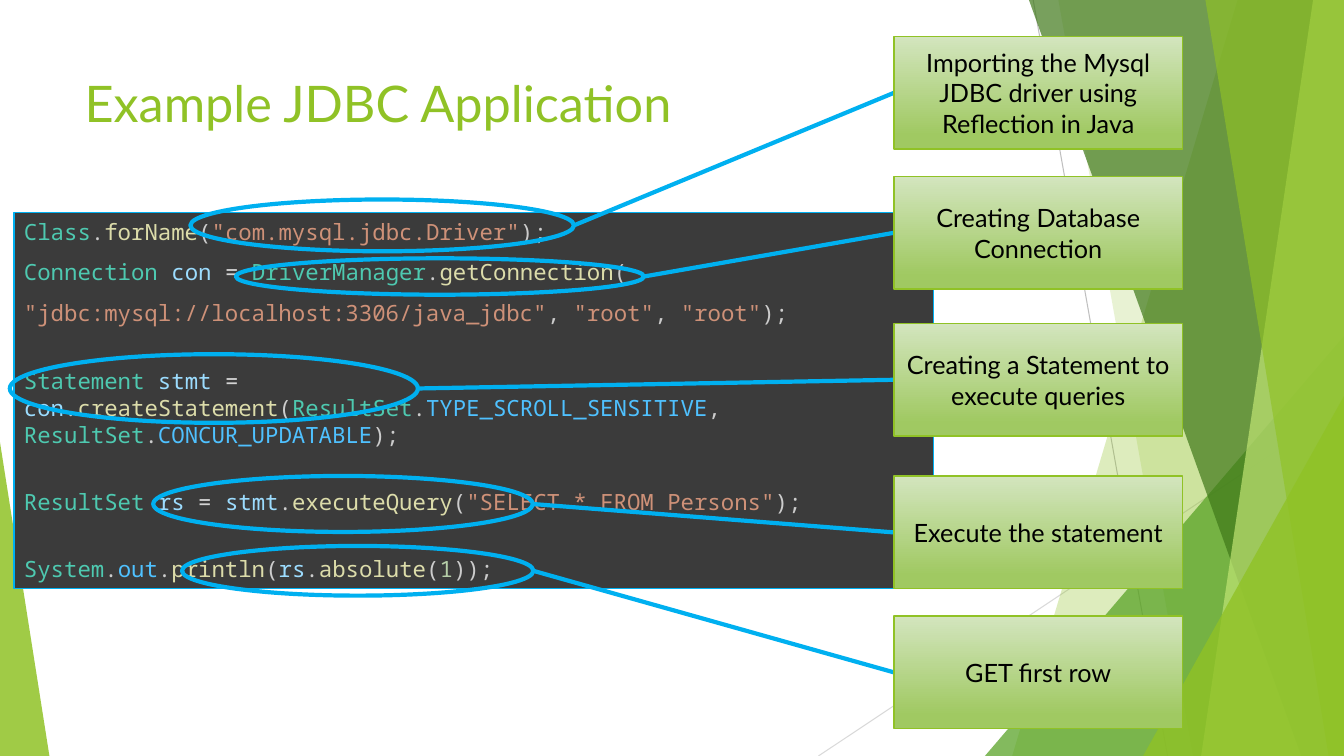
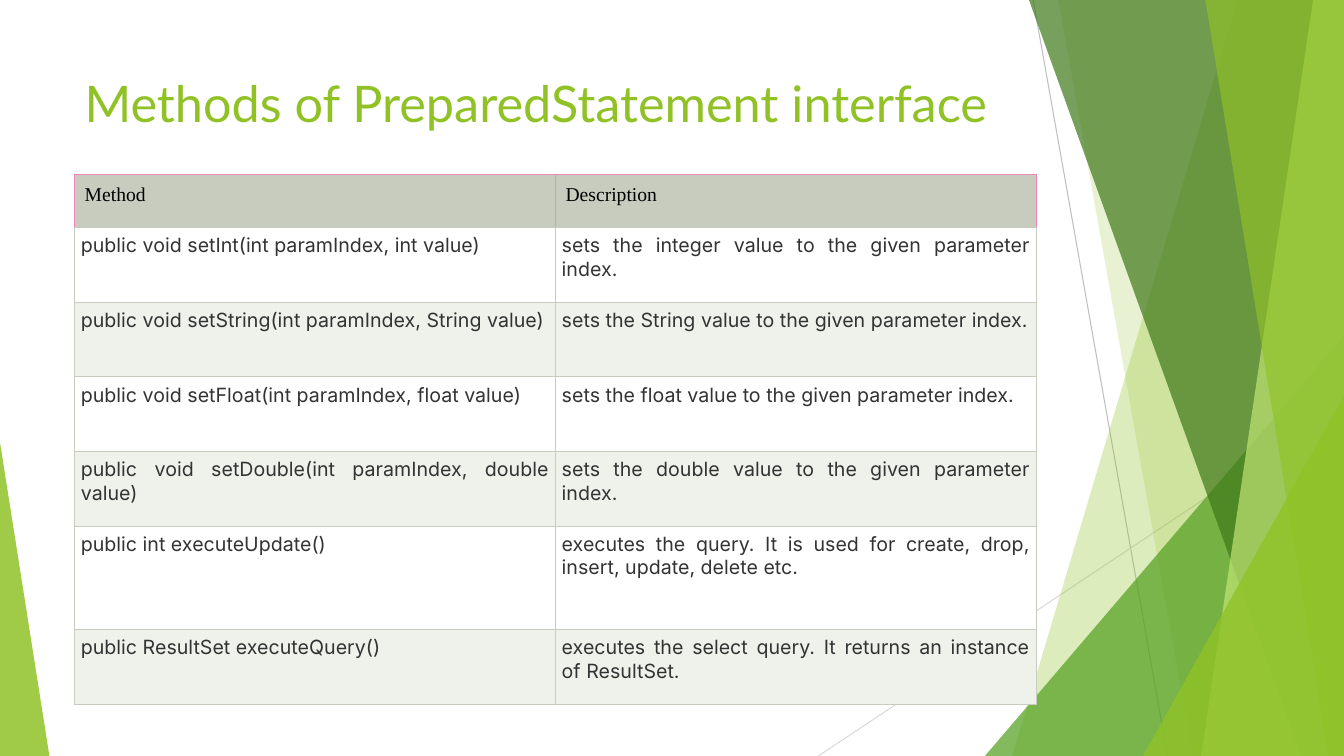
from collections import namedtuple

from pptx import Presentation
from pptx.dml.color import RGBColor
from pptx.enum.shapes import MSO_CONNECTOR as Connector, MSO_SHAPE as Shape
from pptx.enum.text import MSO_ANCHOR as Anchor, PP_ALIGN as Align
from pptx.oxml.ns import qn
from pptx.oxml.xmlchemy import OxmlElement
from pptx.util import Pt

Box = namedtuple("Box", "left top width height")

# Shared look
PAGE = Box(0, 0, 960, 540)
TITLE_BOX = Box(53.3, 48.2, 677, 104)
GREEN, LEAF, FOREST, LIME = "90C226", "54A021", "3F7819", "C0E474"
BLUE, BLACK, WHITE = "00B0F0", "000000", "FFFFFF"
SANS, MONO, SERIF, BODY = "Lato", "Noto Sans Mono", "Times New Roman", "Inter"

# Code, as (kind, text) pieces; each line has its space before
CODE_COLORS = {"type": "4EC9B0", "mark": "CCCCCC", "call": "DCDCAA", "text": "CE9178",
               "name": "9CDCFE", "sign": "D4D4D4", "const": "4FC1FF", "number": "B5CEA8"}
LINE_GAP, BLOCK_GAP = 10, 29
CODE = [
    (0, [("type", "Class"), ("mark", "."), ("call", "forName"), ("mark", "("),
         ("text", '"com.mysql.jdbc.Driver"'), ("mark", ");")]),
    (LINE_GAP, [("type", "Connection "), ("name", "con "), ("sign", "= "),
                ("type", "DriverManager"), ("mark", "."), ("call", "getConnection"),
                ("mark", "(")]),
    (LINE_GAP, [("text", '"jdbc:mysql://localhost:3306/java_jdbc"'), ("mark", ", "),
                ("text", '"root"'), ("mark", ", "), ("text", '"root"'), ("mark", ");")]),
    (BLOCK_GAP, [("type", "Statement "), ("name", "stmt "), ("sign", "= "), ("name", "con"),
                 ("mark", "."), ("call", "createStatement"), ("mark", "("),
                 ("type", "ResultSet"), ("mark", "."), ("const", "TYPE_SCROLL_SENSITIVE"),
                 ("mark", ", "), ("type", "ResultSet"), ("mark", "."),
                 ("const", "CONCUR_UPDATABLE"), ("mark", ");")]),
    (BLOCK_GAP, [("type", "ResultSet "), ("name", "rs "), ("sign", "= "), ("name", "stmt"),
                 ("mark", "."), ("call", "executeQuery"), ("mark", "("),
                 ("text", '"SELECT * FROM Persons"'), ("mark", ");")]),
    (BLOCK_GAP, [("type", "System"), ("mark", "."), ("const", "out"), ("mark", "."),
                 ("call", "println"), ("mark", "("), ("name", "rs"), ("mark", "."),
                 ("call", "absolute"), ("mark", "("), ("number", "1"), ("mark", "));")]),
]

# Notes: text, top of the note, ring around the code it explains
NOTES = [
    ("Importing the Mysql JDBC driver using Reflection in Java", 26,
     Box(136, 142.5, 274, 37)),
    ("Creating Database Connection", 126, Box(168.5, 184.5, 291.5, 26)),
    ("Creating a Statement to execute queries", 231, Box(7, 253, 291.5, 49)),
    ("Execute the statement", 340, Box(109.5, 340, 271, 40)),
    ("GET first row", 440, Box(130, 390, 251, 35.5)),
]

METHODS = [
    ("Method", "Description"),
    ("public void setInt(int paramIndex, int value)",
     "sets the integer value to the given parameter index."),
    ("public void setString(int paramIndex, String value)",
     "sets the String value to the given parameter index."),
    ("public void setFloat(int paramIndex, float value)",
     "sets the float value to the given parameter index."),
    ("public void setDouble(int paramIndex, double value)",
     "sets the double value to the given parameter index."),
    ("public int executeUpdate()",
     "executes the query. It is used for create, drop, insert, update, delete etc."),
    ("public ResultSet executeQuery()",
     "executes the select query. It returns an instance of ResultSet."),
]
ROW_HEIGHTS = [38, 53.3, 53.3, 53.3, 53.3, 74, 53.3]
GRID, HEADER_EDGE, HEADER_DIVIDER, STRIPE = "C7CCBE", "F084B6", "B0B4A8", "EFF1EB"


# Helpers
def color(hex_text):
    return RGBColor.from_string(hex_text)


def points(box):
    return [Pt(length) for length in box]


def write(paragraph, text, *, font=SANS, size=18, tint=BLACK, align=None):
    run = paragraph.add_run()
    run.text = text
    run.font.name, run.font.size = font, Pt(size)
    run.font.color.rgb = color(tint)
    if align is not None:
        paragraph.alignment = align


def paint(shape, fill=None, alpha=None, edge=None, weight=0.75):
    shape.shadow.inherit = False
    if fill:
        shape.fill.solid()
        shape.fill.fore_color.rgb = color(fill)
    else:
        shape.fill.background()
    if alpha:
        opacity = OxmlElement("a:alpha")
        opacity.set("val", str(alpha * 1000))
        next(shape.element.spPr.iter(qn("a:srgbClr"))).append(opacity)
    if edge:
        shape.line.color.rgb = color(edge)
        shape.line.width = Pt(weight)
    else:
        shape.line.fill.background()


def draw_line(slide, start, end, tint, weight):
    line = slide.shapes.add_connector(Connector.STRAIGHT, *points(start + end))
    line.line.color.rgb = color(tint)
    line.line.width = Pt(weight)
    line.element.spPr.append(OxmlElement("a:effectLst"))
    return line


# Green backdrop
def add_band(slide, page, top_x, bottom_x, fill, alpha):
    right, bottom = page.left + page.width, page.top + page.height
    outline = slide.shapes.build_freeform(Pt(page.left + top_x), Pt(page.top))
    corners = [(right, page.top), (right, bottom), (page.left + bottom_x, bottom)]
    outline.add_line_segments([points(corner) for corner in corners])
    paint(outline.convert_to_shape(), fill, alpha)


def add_wedge(slide, page, left, width, height, apex, fill, alpha):
    box = Box(page.left + left, page.top + page.height - height, width, height)
    wedge = slide.shapes.add_shape(Shape.ISOSCELES_TRIANGLE, *points(box))
    wedge.adjustments[0] = apex
    paint(wedge, fill, alpha)


def add_backdrop(slide, page):
    x, y = page.left, page.top
    draw_line(slide, (x + 738, y), (x + 834, y + 540), "BFBFBF", 0.75)
    draw_line(slide, (x + 960, y + 290), (x + 584.6, y + 540), "D9D9D9", 0.75)
    add_band(slide, page, 884, 723, GREEN, 30)
    add_band(slide, page, 756, 852, GREEN, 20)
    add_wedge(slide, page, 703.5, 256.5, 300, 1, LEAF, 72)
    add_band(slide, page, 735, 929.5, FOREST, 70)
    add_band(slide, page, 938, 858, LIME, 70)
    add_band(slide, page, 861, 949, GREEN, 65)
    add_wedge(slide, page, 816.5, 143.5, 257, 1, GREEN, 80)
    add_wedge(slide, page, 0, 35.3, 224, 0, GREEN, 85)


def add_titled_slide(deck, title):
    slide = deck.slides.add_slide(deck.slide_layouts[6])
    add_backdrop(slide, PAGE)
    frame = slide.shapes.add_textbox(*points(TITLE_BOX)).text_frame
    frame.word_wrap = True
    write(frame.paragraphs[0], title, size=36, tint=GREEN)
    return slide


# Code slide
def add_code(slide, box):
    panel = slide.shapes.add_shape(Shape.RECTANGLE, *points(box))
    paint(panel, "3B3B3B", edge=BLUE)
    frame = panel.text_frame
    frame.word_wrap = True
    frame.vertical_anchor = Anchor.TOP
    for number, (gap, pieces) in enumerate(CODE):
        line = frame.paragraphs[0] if number == 0 else frame.add_paragraph()
        line.line_spacing = 1.0
        line.space_before = Pt(gap)
        for kind, text in pieces:
            write(line, text, font=MONO, size=16, tint=CODE_COLORS[kind], align=Align.LEFT)


def add_note(slide, box, text, ring):
    paint(slide.shapes.add_shape(Shape.OVAL, *points(ring)), edge=BLUE, weight=3)
    start = (ring.left + ring.width, ring.top + ring.height / 2)
    leader = draw_line(slide, start, (box.left, box.top + box.height / 2), BLUE, 3)
    note = slide.shapes.add_shape(Shape.RECTANGLE, *points(box))
    paint(note, edge=GREEN, weight=1)
    note.fill.gradient()
    note.fill.gradient_angle = 270
    for stop, (place, tint) in zip(note.fill.gradient_stops,
                                   [(0, "D3E5BE"), (0.88, "A0C962")]):
        stop.position, stop.color.rgb = place, color(tint)
    note.text_frame.word_wrap = True
    note.text_frame.vertical_anchor = Anchor.MIDDLE
    write(note.text_frame.paragraphs[0], text, align=Align.CENTER)
    leader.end_connect(note, 1)


def build_code_slide(deck):
    slide = add_titled_slide(deck, "Example JDBC Application")
    add_code(slide, Box(10, 152, 656.6, 268.5))
    for text, top, ring in NOTES:
        add_note(slide, Box(638.6, top, 206, 80.6), text, ring)


# Methods slide
def set_borders(cell, tints):
    properties = cell._tc.get_or_add_tcPr()
    for side, tint in zip("LRTB", tints):
        border = OxmlElement(f"a:ln{side}")
        border.set("w", str(Pt(0.75)))
        fill, shade = OxmlElement("a:solidFill"), OxmlElement("a:srgbClr")
        shade.set("val", tint)
        fill.append(shade)
        border.append(fill)
        properties.append(border)


def fill_cell(cell, text, row, column):
    header = row == 0
    if header:
        edges = [(HEADER_EDGE, HEADER_DIVIDER), (HEADER_DIVIDER, HEADER_EDGE)][column]
        set_borders(cell, [*edges, HEADER_EDGE, GRID])
    else:
        set_borders(cell, [GRID, GRID, GRID, GRID])
    cell.fill.solid()
    cell.fill.fore_color.rgb = color(GRID if header else WHITE if row % 2 else STRIPE)
    inset = Pt(7.2 if header else 4.5)
    cell.margin_left = cell.margin_right = cell.margin_top = cell.margin_bottom = inset
    style = (dict(font=SERIF, tint=BLACK) if header
             else dict(font=BODY, tint="333333", align=Align.JUSTIFY))
    write(cell.text_frame.paragraphs[0], text, size=14, **style)


def add_methods(slide, box):
    methods = slide.shapes.add_table(len(METHODS), 2, *points(box)).table
    for column in methods.columns:
        column.width = Pt(box.width / 2)
    for row, (height, texts) in enumerate(zip(ROW_HEIGHTS, METHODS)):
        methods.rows[row].height = Pt(height)
        for column, text in enumerate(texts):
            fill_cell(methods.cell(row, column), text, row, column)


def build_methods_slide(deck):
    slide = add_titled_slide(deck, "Methods of PreparedStatement interface")
    add_methods(slide, Box(53.3, 124.6, 687, sum(ROW_HEIGHTS)))


def main():
    deck = Presentation()
    deck.slide_width, deck.slide_height = Pt(PAGE.width), Pt(PAGE.height)
    build_code_slide(deck)
    build_methods_slide(deck)
    deck.save("out.pptx")


if __name__ == "__main__":
    main()
